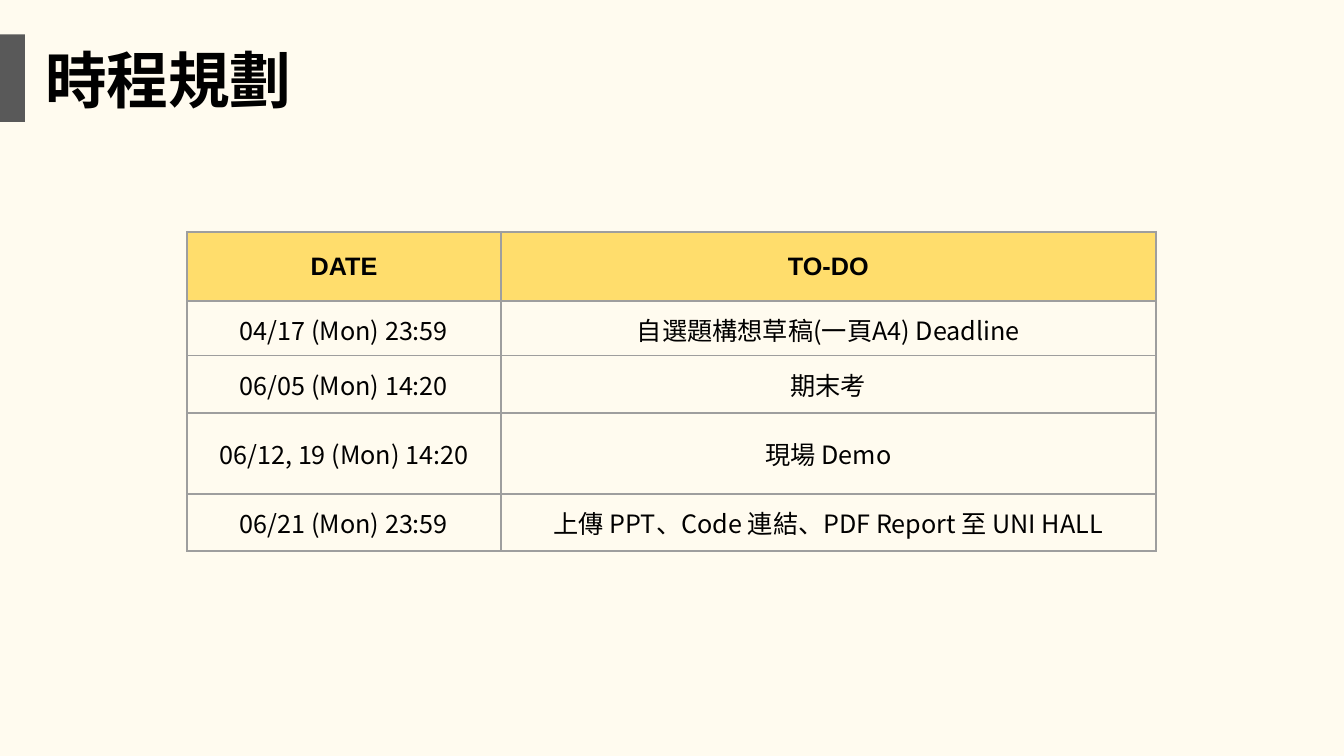
from dataclasses import dataclass

from lxml import etree
from pptx import Presentation
from pptx.dml.color import RGBColor
from pptx.enum.shapes import MSO_SHAPE
from pptx.enum.text import MSO_ANCHOR, MSO_AUTO_SIZE, PP_ALIGN
from pptx.oxml.ns import qn
from pptx.util import Cm, Pt

RECTANGLE = MSO_SHAPE.RECTANGLE
MIDDLE = MSO_ANCHOR.MIDDLE
CENTER = PP_ALIGN.CENTER
GROW = MSO_AUTO_SIZE.SHAPE_TO_FIT_TEXT

TITLE = "時程規劃"
HEADER = ("DATE", "TO-DO")
SCHEDULE = [
    ("04/17 (Mon) 23:59", "自選題構想草稿(一頁A4) Deadline"),
    ("06/05 (Mon) 14:20", "期末考"),
    ("06/12, 19 (Mon) 14:20", "現場 Demo"),
    ("06/21 (Mon) 23:59", "上傳 PPT、Code 連結、PDF Report 至 UNI HALL"),
]

# Lengths in centimetres
SLIDE_SIZE = (33.87, 19.05)
ACCENT_BOX = (0, 0.87, 0.63, 2.2)
TITLE_BOX = (0.89, 0.94, 6.78, 2.13)
TABLE_CORNER = (4.72, 5.84)
COLUMN_WIDTHS = (7.9, 16.51)
ROW_HEIGHTS = (1.75, 1.37, 1.45, 2.03, 1.45)
CELL_MARGIN = 0.25


@dataclass(frozen=True)
class Theme:
    background: str = "FFFBEF"
    accent: str = "595959"
    header: str = "FFDD6C"
    border: str = "9E9E9E"
    text: str = "000000"
    header_font: str = "Arial"
    body_font: str = "Noto Sans CJK TC"
    title_size: int = 44
    table_size: int = 18
    border_width: float = 1.5


THEME = Theme()


def paint(fill, color):
    fill.solid()
    fill.fore_color.rgb = RGBColor.from_string(color)


def add_run(paragraph, text, size, font_name, bold):
    run = paragraph.add_run()
    run.text = text
    run.font.size = Pt(size)
    run.font.bold = bold
    run.font.color.rgb = RGBColor.from_string(THEME.text)
    run.font.name = font_name
    etree.SubElement(run.font._element, qn("a:ea"), typeface=font_name)


def add_borders(cell):
    properties = cell._tc.get_or_add_tcPr()
    for side in ("lnL", "lnR", "lnT", "lnB"):
        line = etree.SubElement(properties, qn(f"a:{side}"), w=str(Pt(THEME.border_width)))
        fill = etree.SubElement(line, qn("a:solidFill"))
        etree.SubElement(fill, qn("a:srgbClr"), val=THEME.border)


def add_title(slide):
    accent = slide.shapes.add_shape(RECTANGLE, *map(Cm, ACCENT_BOX))
    accent.shadow.inherit = False
    paint(accent.fill, THEME.accent)
    accent.line.fill.background()

    frame = slide.shapes.add_textbox(*map(Cm, TITLE_BOX)).text_frame
    frame.word_wrap = False
    frame.auto_size = GROW
    add_run(frame.paragraphs[0], TITLE, THEME.title_size, THEME.body_font, True)


def fill_cell(cell, text, is_header):
    cell.vertical_anchor = MIDDLE
    cell.margin_left = cell.margin_right = Cm(CELL_MARGIN)
    cell.margin_top = cell.margin_bottom = Cm(CELL_MARGIN)
    add_borders(cell)
    if is_header:
        paint(cell.fill, THEME.header)
    else:
        cell.fill.background()
    paragraph = cell.text_frame.paragraphs[0]
    paragraph.alignment = CENTER
    font_name = THEME.header_font if is_header else THEME.body_font
    add_run(paragraph, text, THEME.table_size, font_name, is_header)


def add_schedule(slide):
    rows = [HEADER, *SCHEDULE]
    size = (sum(COLUMN_WIDTHS), sum(ROW_HEIGHTS))
    table = slide.shapes.add_table(
        len(rows), len(HEADER), *map(Cm, TABLE_CORNER + size)
    ).table
    table.horz_banding = False
    for column, width in zip(table.columns, COLUMN_WIDTHS):
        column.width = Cm(width)
    for index, (row, height, texts) in enumerate(zip(table.rows, ROW_HEIGHTS, rows)):
        row.height = Cm(height)
        for cell, text in zip(row.cells, texts):
            fill_cell(cell, text, is_header=index == 0)


def main():
    presentation = Presentation()
    presentation.slide_width, presentation.slide_height = map(Cm, SLIDE_SIZE)
    slide = presentation.slides.add_slide(presentation.slide_layouts[6])
    paint(slide.background.fill, THEME.background)
    add_title(slide)
    add_schedule(slide)
    presentation.save("out.pptx")


if __name__ == "__main__":
    main()
